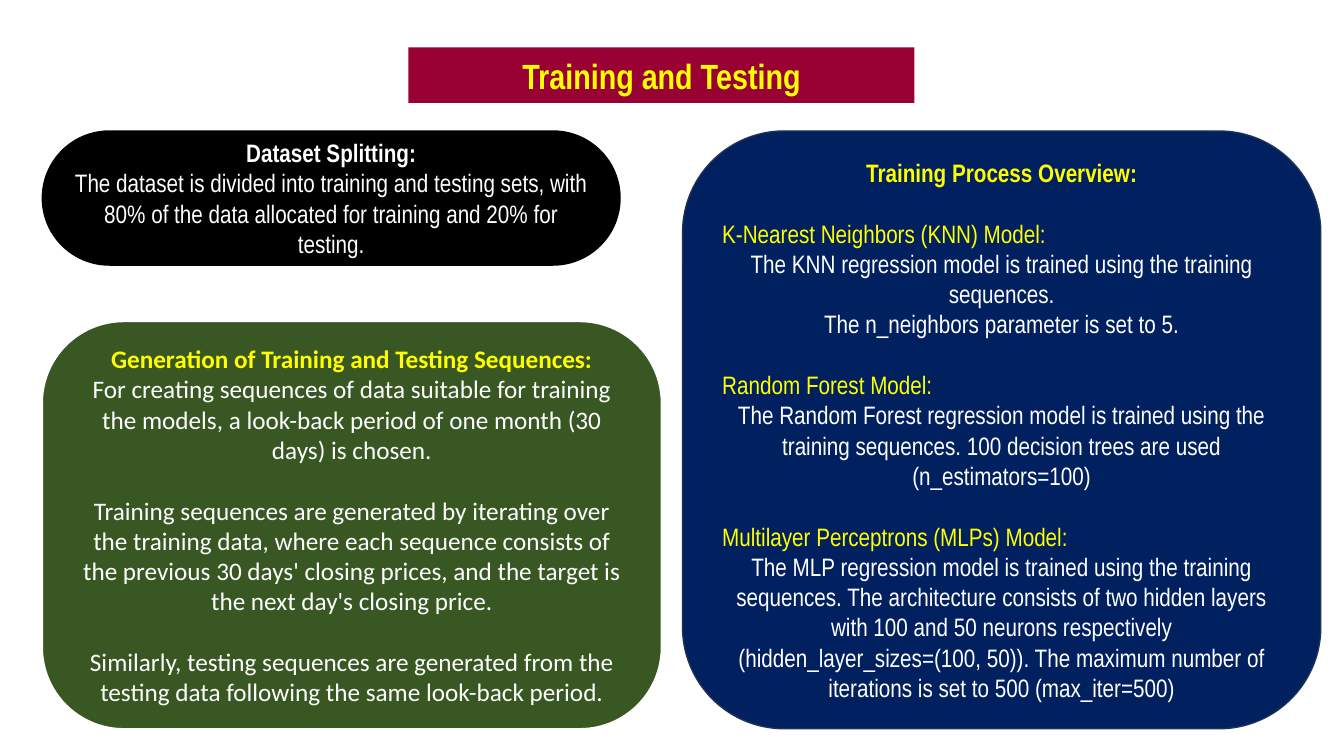
import pptx
import pptx.util
import pptx.dml.color
import pptx.enum.shapes
import pptx.enum.text
from lxml import etree

Inches, Pt = pptx.util.Inches, pptx.util.Pt
RGB = pptx.dml.color.RGBColor.from_string
ALIGN = pptx.enum.text.PP_ALIGN
MID = pptx.enum.text.MSO_ANCHOR.MIDDLE
ROUND = pptx.enum.shapes.MSO_SHAPE.ROUNDED_RECTANGLE

theme = {
    "yellow": "FFFF00", "white": "FFFFFF", "black": "000000",
    "green": "385723", "navy": "002060", "edge": "1E3256", "wine": "990033",
    "narrow": "Arial Narrow", "sans": "Calibri",
    "title": 25, "body": 18, "gap": 21.8,
}


def add_run(para, text, font, size, color, bold):
    run = para.add_run()
    run.text = text
    run.font.name = theme[font]
    run.font.size = Pt(theme[size])
    run.font.color.rgb = RGB(theme[color])
    run.font.bold = bold


deck = pptx.Presentation()
deck.slide_width, deck.slide_height = Inches(13.33), Inches(7.5)
slide = deck.slides.add_slide(deck.slide_layouts[5])

# Title pill
title = slide.shapes.title
title.left, title.top = Inches(4.05), Inches(0.47)
title.width, title.height = Inches(5.02), Inches(0.55)
ns = "{http://schemas.openxmlformats.org/drawingml/2006/main}"
geom = etree.SubElement(title.element.spPr, ns + "prstGeom", prst="roundRect")
guides = etree.SubElement(geom, ns + "avLst")
etree.SubElement(guides, ns + "gd", name="adj", fmla="val 50000")
title.fill.solid()
title.fill.fore_color.rgb = RGB(theme["wine"])
frame = title.text_frame
frame.word_wrap = True
frame.auto_size = pptx.enum.text.MSO_AUTO_SIZE.NONE
frame.vertical_anchor = MID
head = frame.paragraphs[0]
head.alignment = ALIGN.CENTER
add_run(head, "Training and Testing", "narrow", "title", "yellow", True)

# Panel text: (style, words); "gap" styles start a new block
split = [
    ("head", "Dataset Splitting:"),
    ("text", "The dataset is divided into training and testing sets, with 80% of the data "
             "allocated for training and 20% for testing."),
]
steps = [
    ("head", "Generation of Training and Testing Sequences:"),
    ("text", "For creating sequences of data suitable for training the models, a look-back "
             "period of one month (30 days) is chosen."),
    ("gap", "Training sequences are generated by iterating over the training data, where each "
            "sequence consists of the previous 30 days' closing prices, and the target is the "
            "next day's closing price."),
    ("gap", "Similarly, testing sequences are generated from the testing data following the "
            "same look-back period."),
]
models = [
    ("head", "Training Process Overview:"),
    ("gap model", "K-Nearest Neighbors (KNN) Model:"),
    ("text", "The KNN regression model is trained using the training sequences."),
    ("text", "The n_neighbors parameter is set to 5."),
    ("gap model", "Random Forest Model:"),
    ("text", "The Random Forest regression model is trained using the training sequences. "
             "100 decision trees are used (n_estimators=100)"),
    ("gap model", "Multilayer Perceptrons (MLPs) Model:"),
    ("text", "The MLP regression model is trained using the training sequences. The "
             "architecture consists of two hidden layers with 100 and 50 neurons respectively "
             "(hidden_layer_sizes=(100, 50)). The maximum number of iterations is set to 500 "
             "(max_iter=500)"),
]

# Panels: box, corner, fill, line, font, heading colour, text
panels = [
    ((0.42, 3.19, 6.14, 4.04), 0.2, "green", "white", "sans", "yellow", steps),
    ((0.42, 1.3, 5.73, 1.33), 0.5, "black", "black", "narrow", "white", split),
    ((6.77, 1.3, 6.33, 5.93), 0.17, "navy", "edge", "narrow", "yellow", models),
]
for box, bend, fill, line, font, accent, words in panels:
    panel = slide.shapes.add_shape(ROUND, *map(Inches, box))
    panel.adjustments[0] = bend
    panel.shadow.inherit = False
    panel.fill.solid()
    panel.fill.fore_color.rgb = RGB(theme[fill])
    panel.line.color.rgb = RGB(theme[line])
    panel.line.width = Pt(1)
    frame = panel.text_frame
    frame.word_wrap = True
    frame.vertical_anchor = MID
    for row, (style, text) in enumerate(words):
        para = frame.add_paragraph() if row else frame.paragraphs[0]
        model = "model" in style
        para.alignment = ALIGN.LEFT if model else ALIGN.CENTER
        if "gap" in style:
            para.space_before = Pt(theme["gap"])
        color = accent if model or style == "head" else "white"
        add_run(para, text, font, "body", color, style == "head")

deck.save("out.pptx")
